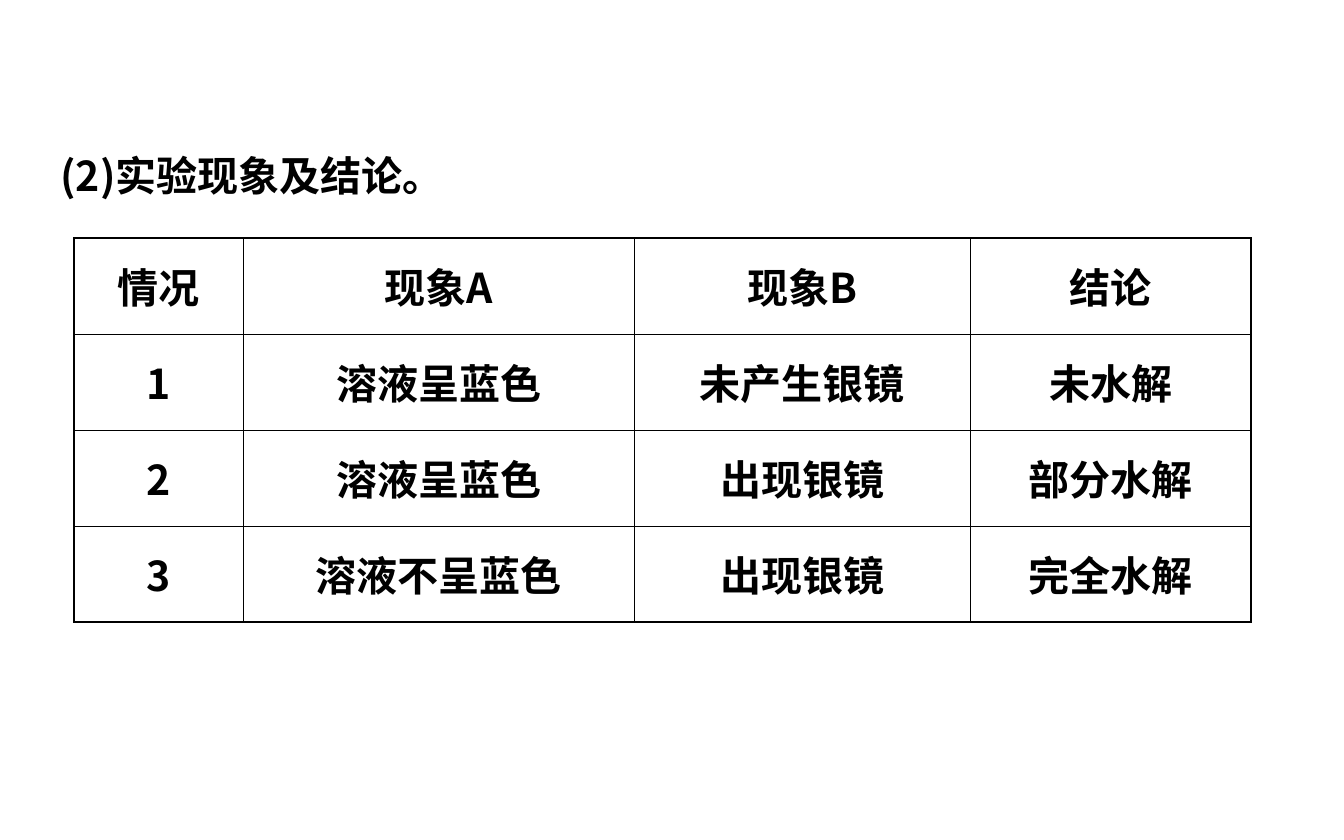
from dataclasses import dataclass

from lxml.etree import SubElement
from pptx import Presentation
from pptx.dml.color import RGBColor
from pptx.enum.text import MSO_ANCHOR, MSO_AUTO_SIZE, PP_ALIGN
from pptx.oxml.ns import qn
from pptx.slide import Slide
from pptx.table import _Cell as Cell
from pptx.text.text import _Paragraph as Paragraph
from pptx.util import Inches, Pt

BLACK = RGBColor(0, 0, 0)
FONT = "Noto Sans CJK SC"
OUTER_LINE = Pt(0.96)
INNER_LINE = Pt(0.45)
ROW_HEIGHT = 0.715


@dataclass(frozen=True)
class Column:
    width: float
    texts: tuple[str, ...]


COLUMNS = (
    Column(1.26, ("情况", "1", "2", "3")),
    Column(2.91, ("现象A", "溶液呈蓝色", "溶液呈蓝色", "溶液不呈蓝色")),
    Column(2.5, ("现象B", "未产生银镜", "出现银镜", "出现银镜")),
    Column(2.09, ("结论", "未水解", "部分水解", "完全水解")),
)


def format_paragraph(paragraph: Paragraph, alignment: PP_ALIGN) -> None:
    paragraph.alignment = alignment
    font = paragraph.font
    font.name = FONT
    font.size = Pt(22)
    font.bold = True
    font.color.rgb = BLACK
    properties = paragraph._p.pPr.find(qn("a:defRPr"))
    SubElement(properties, qn("a:ea"), typeface=FONT)


def add_border(cell: Cell, side: str, width: int) -> None:
    properties = cell._tc.get_or_add_tcPr()
    line = SubElement(properties, qn(f"a:ln{side}"), w=str(int(width)))
    fill = SubElement(line, qn("a:solidFill"))
    SubElement(fill, qn("a:srgbClr"), val=str(BLACK))


def add_title(slide: Slide, text: str) -> None:
    title = slide.shapes.title
    title.left, title.top = Inches(0.35), Inches(0.78)
    title.width, title.height = Inches(9.43), Inches(0.76)
    frame = title.text_frame
    frame.text = text
    frame.word_wrap = True
    frame.auto_size = MSO_AUTO_SIZE.SHAPE_TO_FIT_TEXT
    frame.vertical_anchor = MSO_ANCHOR.TOP
    paragraph = frame.paragraphs[0]
    paragraph.line_spacing = 1.8
    format_paragraph(paragraph, PP_ALIGN.LEFT)


def add_results_table(slide: Slide, columns: tuple[Column, ...]) -> None:
    row_count = len(columns[0].texts)
    last_row, last_column = row_count - 1, len(columns) - 1
    total_width = sum(column.width for column in columns)
    table = slide.shapes.add_table(
        row_count, len(columns), Inches(0.55), Inches(1.77),
        Inches(total_width), Inches(ROW_HEIGHT * row_count),
    ).table
    table.first_row = table.horz_banding = False
    for row in table.rows:
        row.height = Inches(ROW_HEIGHT)
    for column_index, column in enumerate(columns):
        table.columns[column_index].width = Inches(column.width)
        for row_index, text in enumerate(column.texts):
            cell = table.cell(row_index, column_index)
            cell.text = text
            cell.vertical_anchor = MSO_ANCHOR.MIDDLE
            format_paragraph(cell.text_frame.paragraphs[0], PP_ALIGN.CENTER)
            outer_sides = {
                "L": column_index == 0,
                "R": column_index == last_column,
                "T": row_index == 0,
                "B": row_index == last_row,
            }
            for side, is_outer in outer_sides.items():
                add_border(cell, side, OUTER_LINE if is_outer else INNER_LINE)
            cell.fill.background()


def main() -> None:
    presentation = Presentation()
    presentation.slide_width = Inches(10)
    presentation.slide_height = Inches(6.25)
    slide = presentation.slides.add_slide(presentation.slide_layouts.get_by_name("Title Only"))
    add_title(slide, "(2)实验现象及结论。")
    add_results_table(slide, COLUMNS)
    presentation.save("out.pptx")


if __name__ == "__main__":
    main()
